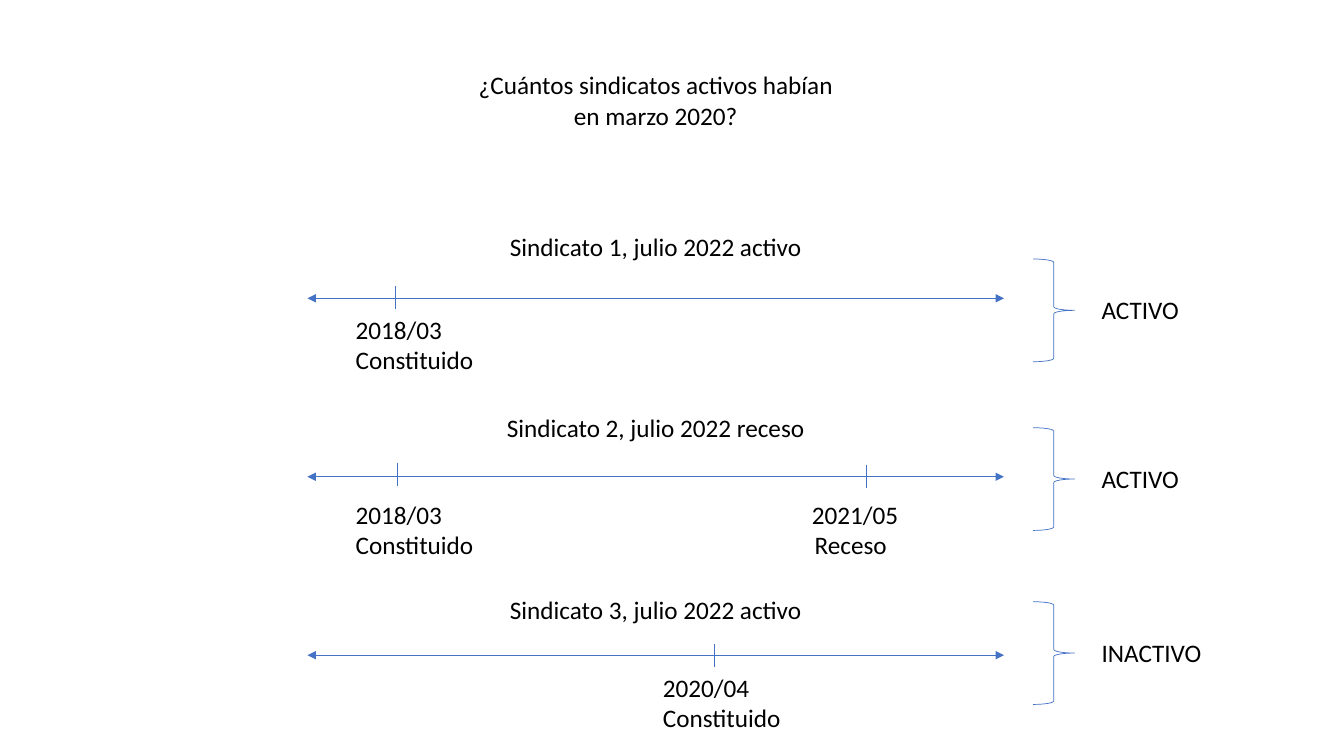
from typing import NamedTuple

from lxml import etree
from pptx import Presentation
from pptx import util as u
from pptx.dml import color
from pptx.enum import shapes, text
from pptx.oxml import ns

Pt = u.Pt
COLORS = {"line": "4472C4", "text": "000000"}
FONT = "Calibri"
FONT_SIZE = 18
LINE_WIDTH = 0.5
AXIS_LEFT, AXIS_RIGHT = 219.6, 717.1
AXIS_TOP, AXIS_STEP = 213.1, 127.45
HEADING_TOP, HEADING_STEP = 161.8, 129.5
HEADING_LEFT, HEADING_WIDTH = 334.1, 268.6
LINE_BOX_HEIGHT, PAIR_BOX_HEIGHT = 28.8, 51.1
TICK_HEIGHT = 16.5
BRACE_LEFT, BRACE_WIDTH, BRACE_HEIGHT = 738, 29.5, 73.4
STATUS_LEFT, STATUS_OFFSET = 779.8, 21.8


class Event(NamedTuple):
    date: str
    label: str
    tick_x: float
    tick_top: float
    text_left: float
    label_indent: float = 0


class Timeline(NamedTuple):
    heading: str
    status: str
    brace_top: float
    text_top: float
    events: tuple[Event, ...]


TIMELINES = (
    Timeline("Sindicato 1, julio 2022 activo", "ACTIVO", 185, 221,
             (Event("2018/03", "Constituido", 282.2, 204.5, 247),)),
    Timeline("Sindicato 2, julio 2022 receso", "ACTIVO", 305.5, 353,
             (Event("2018/03", "Constituido", 283.7, 330.5, 247),
              Event("2021/05", "Receso", 618.5, 332, 572.8, 2))),
    Timeline("Sindicato 3, julio 2022 activo", "INACTIVO", 429.8, 476.8,
             (Event("2020/04", "Constituido", 510.5, 460.1, 466.4),)),
)


def rgb(name: str) -> color.RGBColor:
    return color.RGBColor.from_string(COLORS[name])


def write_lines(box, lines: tuple[str, ...], align=text.PP_ALIGN.LEFT) -> None:
    frame = box.text_frame
    frame.text = "\n".join(lines)
    frame.word_wrap = True
    frame.auto_size = text.MSO_AUTO_SIZE.NONE
    frame.vertical_anchor = text.MSO_ANCHOR.TOP
    for para in frame.paragraphs:
        para.alignment = align
        para.font.name = FONT
        para.font.size = Pt(FONT_SIZE)
        para.font.color.rgb = rgb("text")


def add_text(page, left: float, top: float, width: float, height: float,
             lines: tuple[str, ...], align=text.PP_ALIGN.LEFT):
    box = page.shapes.add_textbox(Pt(left), Pt(top), Pt(width), Pt(height))
    write_lines(box, lines, align)
    return box


def style_line(line) -> None:
    line.color.rgb = rgb("line")
    line.width = Pt(LINE_WIDTH)


def add_line(page, x1: float, y1: float, x2: float, y2: float, arrows: bool = False) -> None:
    connector = page.shapes.add_connector(
        shapes.MSO_CONNECTOR.STRAIGHT, Pt(x1), Pt(y1), Pt(x2), Pt(y2))
    style_line(connector.line)
    if arrows:
        outline = connector.line._get_or_add_ln()
        for end in ("a:headEnd", "a:tailEnd"):
            etree.SubElement(outline, ns.qn(end), type="triangle")
    etree.SubElement(connector._element.spPr, ns.qn("a:effectLst"))


def add_event(page, event: Event, text_top: float) -> None:
    add_line(page, event.tick_x, event.tick_top, event.tick_x, event.tick_top + TICK_HEIGHT)
    box = add_text(page, event.text_left, text_top, 120, PAIR_BOX_HEIGHT,
                   (event.date, event.label))
    if event.label_indent:
        properties = box.text_frame.paragraphs[1]._p.get_or_add_pPr()
        properties.set("marL", str(Pt(event.label_indent)))


def add_status(page, status: str, top: float) -> None:
    brace = page.shapes.add_shape(shapes.MSO_SHAPE.RIGHT_BRACE, Pt(BRACE_LEFT), Pt(top),
                                  Pt(BRACE_WIDTH), Pt(BRACE_HEIGHT))
    brace.shadow.inherit = False
    brace.fill.background()
    style_line(brace.line)
    add_text(page, STATUS_LEFT, top + STATUS_OFFSET, 100, LINE_BOX_HEIGHT, (status,))


def add_timeline(page, index: int, timeline: Timeline) -> None:
    axis_y = AXIS_TOP + index * AXIS_STEP
    add_line(page, AXIS_LEFT, axis_y, AXIS_RIGHT, axis_y, arrows=True)
    add_text(page, HEADING_LEFT, HEADING_TOP + index * HEADING_STEP, HEADING_WIDTH,
             LINE_BOX_HEIGHT, (timeline.heading,), text.PP_ALIGN.CENTER)
    for event in timeline.events:
        add_event(page, event, timeline.text_top)
    add_status(page, timeline.status, timeline.brace_top)


deck = Presentation()
deck.slide_width, deck.slide_height = Pt(960), Pt(540)
page = deck.slides.add_slide(deck.slide_layouts[5])

# Question at the top
title = page.shapes.title
title.left, title.top = Pt(HEADING_LEFT), Pt(46.1)
title.width, title.height = Pt(HEADING_WIDTH), Pt(PAIR_BOX_HEIGHT)
write_lines(title, ("¿Cuántos sindicatos activos habían en marzo 2020?",), text.PP_ALIGN.CENTER)

# One timeline per union
for index, timeline in enumerate(TIMELINES):
    add_timeline(page, index, timeline)

deck.save("out.pptx")
